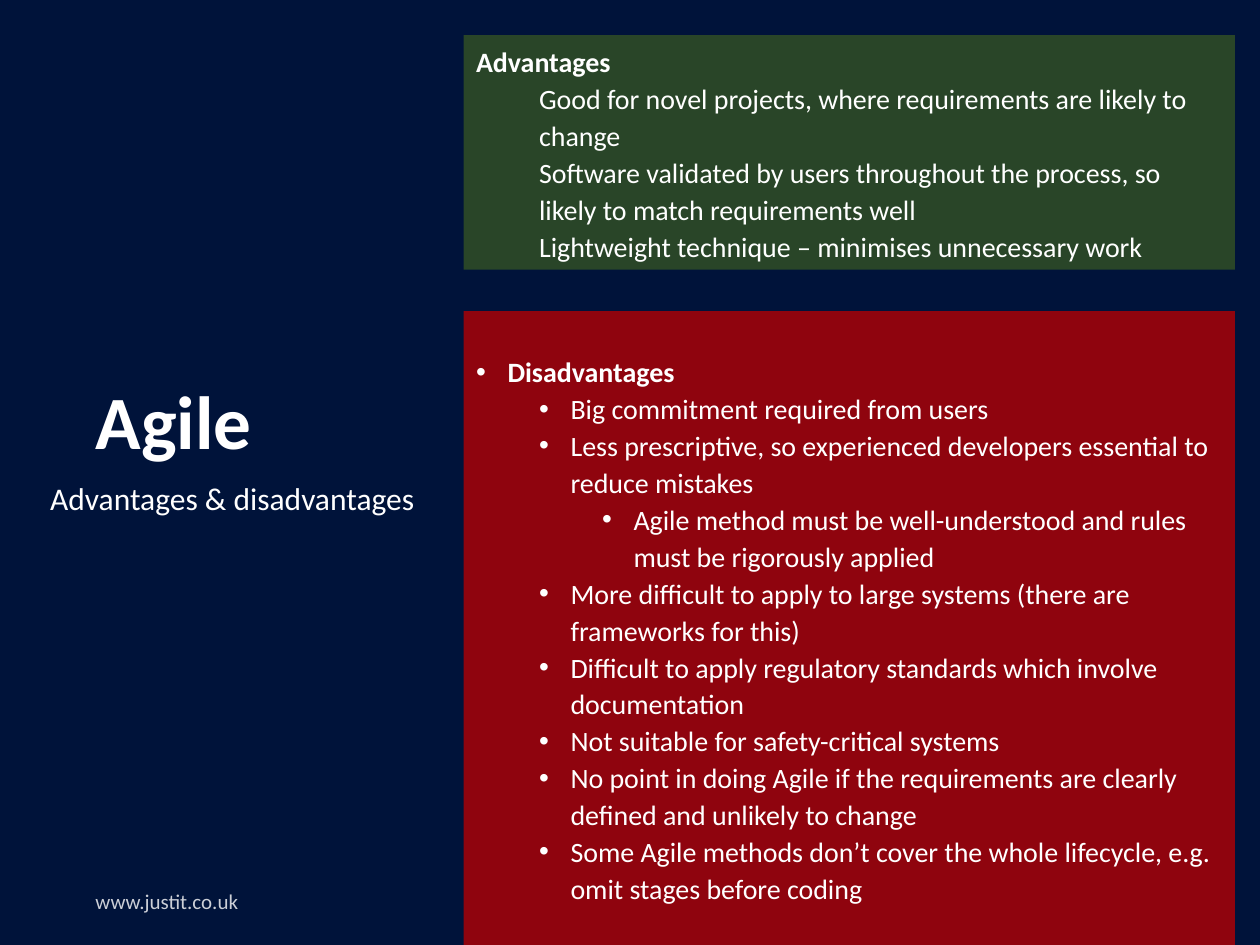
from lxml.etree import SubElement
from pptx import Presentation
from pptx.dml.color import RGBColor
from pptx.enum.shapes import MSO_SHAPE
from pptx.enum.text import MSO_ANCHOR, PP_ALIGN
from pptx.oxml.ns import qn
from pptx.util import Inches, Pt

NAVY = RGBColor(0x00, 0x13, 0x3A)
GREEN = RGBColor(0x38, 0x57, 0x23)
RED = RGBColor(0xC0, 0x00, 0x00)
WHITE = RGBColor(0xFF, 0xFF, 0xFF)

WIDTH, HEIGHT = Inches(10), Inches(7.5)
SIDE_LEFT, SIDE_RIGHT = 0.066 * WIDTH, 0.342 * WIDTH
PANEL_LEFT, PANEL_WIDTH = 0.368 * WIDTH, 0.612 * WIDTH

ADVANTAGES = [
    (0, "Advantages"),
    (1, "Good for novel projects, where requirements are likely to change"),
    (1, "Software validated by users throughout the process, so likely to match requirements well"),
    (1, "Lightweight technique – minimises unnecessary work"),
]
DISADVANTAGES = [
    (0, "Disadvantages"),
    (1, "Big commitment required from users"),
    (1, "Less prescriptive, so experienced developers essential to reduce mistakes"),
    (2, "Agile method must be well-understood and rules must be rigorously applied"),
    (1, "More difficult to apply to large systems (there are frameworks for this)"),
    (1, "Difficult to apply regulatory standards which involve documentation"),
    (1, "Not suitable for safety-critical systems"),
    (1, "No point in doing Agile if the requirements are clearly defined and unlikely to change"),
    (1, "Some Agile methods don’t cover the whole lifecycle, e.g. omit stages before coding"),
]


def style(para, size, bold=False):
    para.alignment = PP_ALIGN.LEFT
    para.font.name = "Calibri"
    para.font.size = Pt(size)
    para.font.bold = bold
    para.font.color.rgb = WHITE


def set_opacity(element, percent):
    color = next(element.iter(qn("a:srgbClr")))
    SubElement(color, qn("a:alpha"), val=str(percent * 1000))


deck = Presentation()
deck.slide_width, deck.slide_height = WIDTH, HEIGHT
page = deck.slides.add_slide(deck.slide_layouts[5])
page.background.fill.solid()
page.background.fill.fore_color.rgb = NAVY

title = page.shapes.title
title.left, title.top = int(SIDE_LEFT), int(0.372 * HEIGHT)
title.width, title.height = int(0.195 * WIDTH), int(0.128 * HEIGHT)
title.text_frame.text = "Agile"
title.text_frame.vertical_anchor = MSO_ANCHOR.BOTTOM
title.text_frame.paragraphs[0].line_spacing = 0.9
style(title.text_frame.paragraphs[0], 43, True)

side_texts = [
    ("Advantages & disadvantages", 0.03 * WIDTH, 0.5, 18, MSO_ANCHOR.TOP, 100),
    ("www.justit.co.uk", SIDE_LEFT, 0.927, 12, MSO_ANCHOR.MIDDLE, 80),
]
for text, left, top, size, anchor, opacity in side_texts:
    box = page.shapes.add_textbox(
        int(left), int(top * HEIGHT), int(SIDE_RIGHT - left), Inches(0.4))
    box.text_frame.word_wrap = size < 18
    box.text_frame.vertical_anchor = anchor
    para = box.text_frame.paragraphs[0]
    para.text = text
    style(para, size)
    if opacity < 100:
        set_opacity(para._p, opacity)

panels = [
    (DISADVANTAGES, RED, 2.47, 5.03, 0.32, True),
    (ADVANTAGES, GREEN, 0.28, 1.86, 0.05, False),
]
for lines, color, top, height, inset, bulleted in panels:
    panel = page.shapes.add_shape(
        MSO_SHAPE.RECTANGLE, int(PANEL_LEFT), Inches(top), int(PANEL_WIDTH), Inches(height))
    panel.shadow.inherit = False
    panel.fill.solid()
    panel.fill.fore_color.rgb = color
    set_opacity(panel._element.spPr, 75)
    panel.line.fill.background()
    frame = panel.text_frame
    frame.word_wrap = True
    frame.vertical_anchor = MSO_ANCHOR.TOP
    frame.margin_top = Inches(inset)
    hanging = 0.25 if bulleted else 0
    for index, (level, text) in enumerate(lines):
        para = frame.add_paragraph() if index else frame.paragraphs[0]
        para.text = text
        para.level = level
        para.line_spacing = 1.1
        properties = para._p.get_or_add_pPr()
        properties.set("marL", str(Inches(0.5 * level + hanging)))
        properties.set("indent", str(Inches(-hanging)))
        if bulleted:
            SubElement(properties, qn("a:buFont"), typeface="Arial")
            SubElement(properties, qn("a:buChar"), char="•")
        style(para, 16, level == 0)

deck.save("out.pptx")
